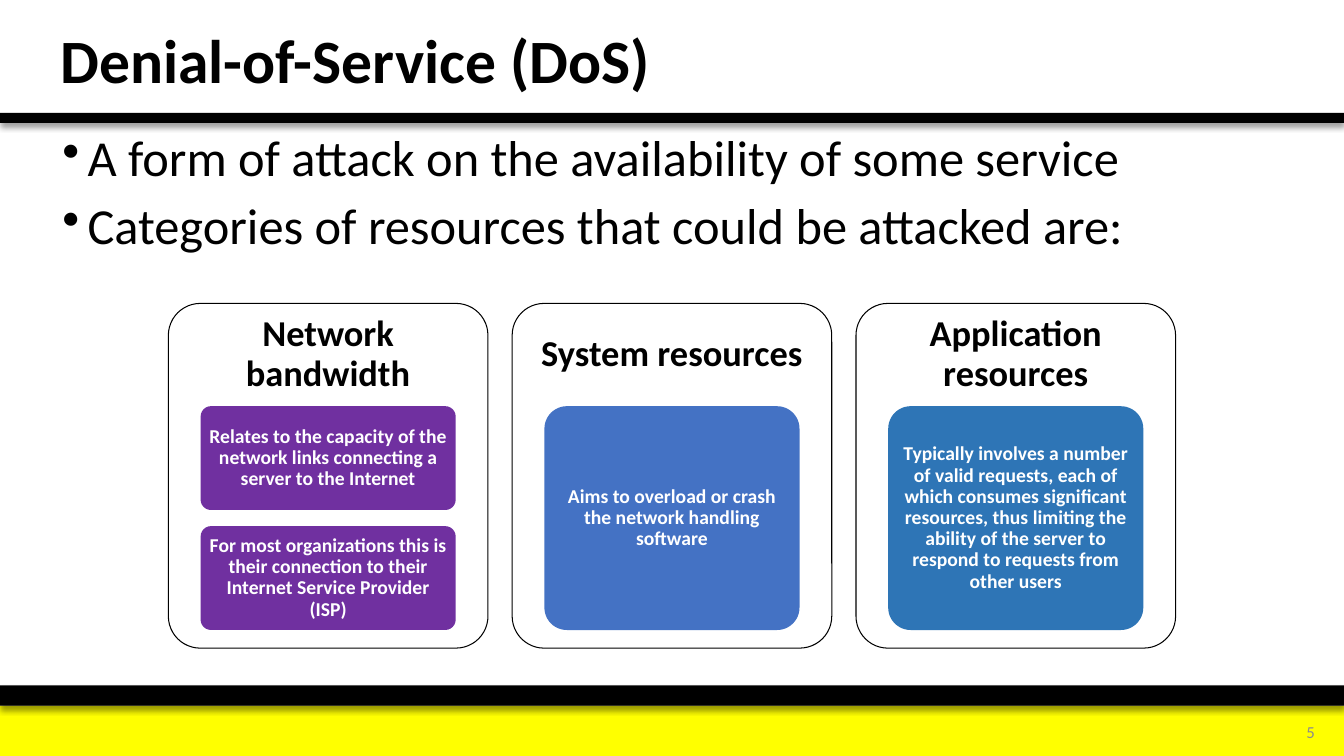
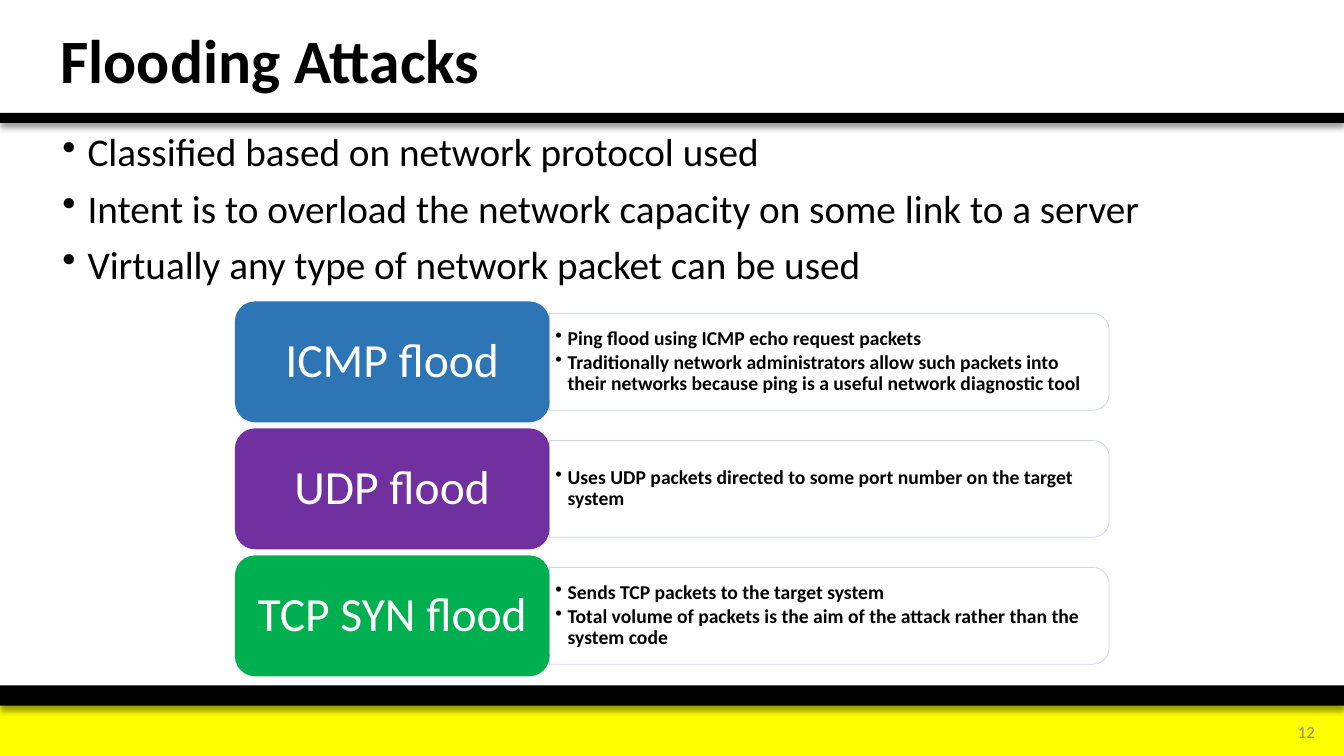
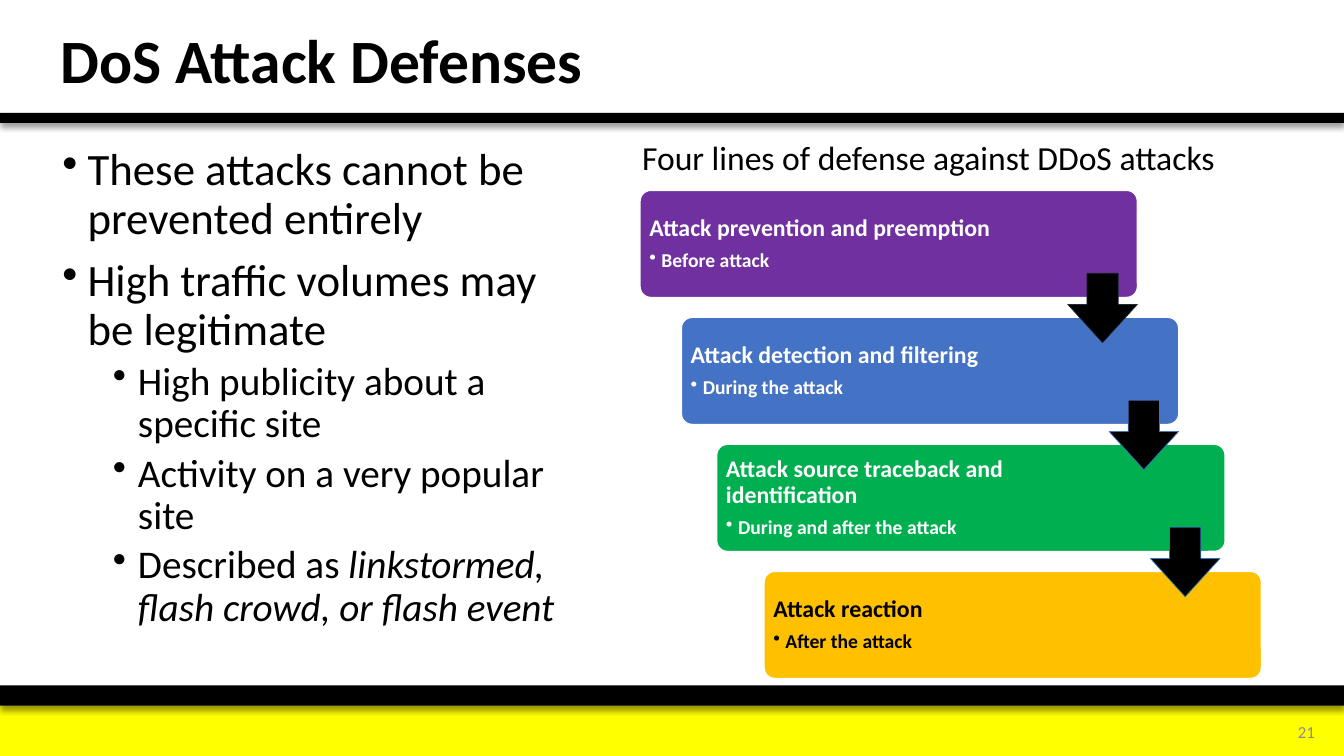
from dataclasses import dataclass

from pptx import Presentation
from pptx.dml.color import RGBColor
from pptx.enum.shapes import MSO_SHAPE
from pptx.enum.text import MSO_ANCHOR, MSO_AUTO_SIZE, PP_ALIGN
from pptx.oxml import parse_xml
from pptx.oxml.ns import nsdecls
from pptx.oxml.xmlchemy import OxmlElement
from pptx.util import Inches, Pt

FONT = "Calibri"
COLORS = {
    "black": "000000", "white": "FFFFFF", "yellow": "FFFF00", "grey": "8C8C8C",
    "purple": "7030A0", "blue": "4472C4", "steel": "2E75B6", "green": "00B050",
    "amber": "FFC000", "pale": "CFD5EA", "navy": "222A35",
}
DEFAULT_INSETS = (0.1, 0.05, 0.1, 0.05)
NO_INSETS_CHANGE = DEFAULT_INSETS


@dataclass
class Box:
    """A rectangle in inches."""
    left: float
    top: float
    width: float
    height: float

    def lengths(self):
        """Return the four sides as lengths."""
        return [Inches(side) for side in (self.left, self.top, self.width, self.height)]


@dataclass
class Para:
    """A paragraph; each span is a (text, italic) pair."""
    spans: list
    size: int
    color: str = "black"
    bold: bool = False
    align: PP_ALIGN = PP_ALIGN.LEFT
    spacing: float = 0.9
    before: int = 0
    after: int = 0
    level: int = 0
    indent: float = 0
    hang: float = 0


def rgb(name):
    """Look up a colour by name."""
    return RGBColor.from_string(COLORS[name])


def write(shape, paras, anchor=MSO_ANCHOR.MIDDLE, insets=DEFAULT_INSETS):
    """Fill a shape with formatted paragraphs."""
    frame = shape.text_frame
    frame.word_wrap = True
    frame.auto_size = MSO_AUTO_SIZE.NONE
    frame.vertical_anchor = anchor
    frame.margin_left, frame.margin_top, frame.margin_right, frame.margin_bottom = [
        Inches(inset) for inset in insets]
    for index, item in enumerate(paras):
        para = frame.add_paragraph() if index else frame.paragraphs[0]
        para.alignment = item.align
        para.line_spacing = item.spacing
        para.space_before = Pt(item.before)
        para.space_after = Pt(item.after)
        para.level = item.level
        if item.hang:
            properties = para._p.get_or_add_pPr()
            properties.set("marL", str(Inches(item.indent)))
            properties.set("indent", str(-Inches(item.hang)))
            bullet = OxmlElement("a:buChar")
            bullet.set("char", "•")
            properties.append(bullet)
        for text, italic in item.spans:
            span = para.add_run()
            span.text = text
            span.font.name = FONT
            span.font.size = Pt(item.size)
            span.font.bold = item.bold
            span.font.italic = italic
            span.font.color.rgb = rgb(item.color)


def add_text(page, box, paras, anchor=MSO_ANCHOR.TOP, insets=DEFAULT_INSETS):
    """Add a text box."""
    write(page.shapes.add_textbox(*box.lengths()), paras, anchor, insets)


def add_figure(page, kind, box, fill=None, line=None, weight=0.75, adjust=()):
    """Add a flat preset shape."""
    shape = page.shapes.add_shape(kind, *box.lengths())
    shape.shadow.inherit = False
    for index, value in enumerate(adjust):
        shape.adjustments[index] = value
    if fill:
        shape.fill.solid()
        shape.fill.fore_color.rgb = rgb(fill)
    else:
        shape.fill.background()
    if line:
        shape.line.color.rgb = rgb(line)
        shape.line.width = Pt(weight)
    else:
        shape.line.fill.background()
    return shape


def add_band(page, box):
    """Add a black band with a soft shadow below it."""
    band = add_figure(page, MSO_SHAPE.RECTANGLE, box, "black")
    effects = band._element.spPr.find(
        "{http://schemas.openxmlformats.org/drawingml/2006/main}effectLst")
    effects.append(parse_xml(
        f'<a:outerShdw {nsdecls("a")} blurRad="{Pt(4)}" dist="{Pt(3)}" dir="5400000" '
        f'algn="t" rotWithShape="0"><a:srgbClr val="{COLORS["black"]}">'
        '<a:alpha val="40000"/></a:srgbClr></a:outerShdw>'))


def add_page(deck, title, number):
    """Add a slide with title, bands and page number."""
    page = deck.slides.add_slide(deck.slide_layouts[5])
    add_figure(page, MSO_SHAPE.RECTANGLE, Box(0, 7, 13.33, 0.5), "yellow")
    add_band(page, Box(0, 6.8, 13.33, 0.2))
    add_band(page, Box(0, 1.12, 13.33, 0.1))
    holder = page.shapes.title
    holder.left, holder.top, holder.width, holder.height = Box(0.5, 0.07, 9.66, 1.12).lengths()
    write(holder, [Para([(title, False)], 44, bold=True)])
    add_text(page, Box(12.38, 7.06, 0.76, 0.4),
             [Para([(str(number), False)], 12, "grey", align=PP_ALIGN.RIGHT, spacing=1)],
             MSO_ANCHOR.MIDDLE)
    return page


def main_point(text, size):
    """Make a first-level bullet."""
    return Para([(text, False)], size, before=10, indent=0.25, hang=0.25)


def sub_point(*spans):
    """Make a second-level bullet."""
    return Para(list(spans), 28, before=5, level=1, indent=0.75, hang=0.25)


def small_point(text, color="black"):
    """Make a bullet for use inside a diagram."""
    return Para([(text, False)], 14, color, True, after=2, level=1, indent=0.12, hang=0.12)


def resource_card(page, box, heading, color, notes):
    """Draw an outlined card with a heading and equal stacked notes."""
    add_figure(page, MSO_SHAPE.ROUNDED_RECTANGLE, box, line="black", adjust=[0.1])
    head, side, gap = 1.02, 0.32, 0.16
    add_text(page, Box(box.left, box.top, box.width, head),
             [Para([(heading, False)], 26, bold=True, align=PP_ALIGN.CENTER)],
             MSO_ANCHOR.MIDDLE, (0.11,) * 4)
    height = (box.height - head - 0.18 + gap) / len(notes) - gap
    for index, note in enumerate(notes):
        place = Box(box.left + side, box.top + head + index * (height + gap),
                    box.width - 2 * side, height)
        shape = add_figure(page, MSO_SHAPE.ROUNDED_RECTANGLE, place, color, adjust=[0.1])
        write(shape, [Para([(note, False)], 14, "white", True, PP_ALIGN.CENTER)],
              insets=(0.04, 0.03, 0.04, 0.03))


def flood_row(page, box, name, color, points):
    """Draw a coloured name tab joined to an outlined list."""
    tab = 3.12
    panel = Box(box.left + tab, box.top + 0.12, box.width - tab, box.height - 0.24)
    upright = Box(panel.left + (panel.width - panel.height) / 2,
                  panel.top + (panel.height - panel.width) / 2, panel.height, panel.width)
    outline = add_figure(page, MSO_SHAPE.ROUND_2_SAME_RECTANGLE, upright,
                         line="pale", weight=0.5)
    outline.rotation = 90
    add_text(page, Box(panel.left, panel.top + 0.05, panel.width - 0.05, panel.height - 0.1),
             [small_point(point) for point in points],
             MSO_ANCHOR.MIDDLE, (0.06, 0.03, 0.06, 0.03))
    shape = add_figure(page, MSO_SHAPE.ROUNDED_RECTANGLE,
                       Box(box.left, box.top, tab, box.height), color)
    write(shape, [Para([(name, False)], 34, "white", align=PP_ALIGN.CENTER)],
          insets=(0.14, 0.07, 0.14, 0.07))


def defense_step(page, box, name, timing, color, ink):
    """Draw one step of the defence staircase."""
    shape = add_figure(page, MSO_SHAPE.ROUNDED_RECTANGLE, box, color, "white", adjust=[0.1])
    write(shape, [Para([(name, False)], 17, ink, True, after=6), small_point(timing, ink)],
          insets=(0.06, 0.06, 1.2, 0.06))


def resources_page(deck):
    """Build the slide on attacked resources."""
    page = add_page(deck, "Denial-of-Service (DoS)", 5)
    add_text(page, Box(0.52, 1.27, 12.29, 1.51), [
        main_point("A form of attack on the availability of some service", 36),
        main_point("Categories of resources that could be attacked are:", 36)])
    cards = [
        ("Network bandwidth", "purple", [
            "Relates to the capacity of the network links connecting a server to the Internet",
            "For most organizations this is their connection to their Internet Service "
            "Provider (ISP)"]),
        ("System resources", "blue", [
            "Aims to overload or crash the network handling software"]),
        ("Application resources", "steel", [
            "Typically involves a number of valid requests, each of which consumes significant "
            "resources, thus limiting the ability of the server to respond to requests from "
            "other users"]),
    ]
    for index, card in enumerate(cards):
        resource_card(page, Box(1.67 + 3.41 * index, 3.01, 3.17, 3.42), *card)


def flooding_page(deck):
    """Build the slide on flooding attacks."""
    page = add_page(deck, "Flooding Attacks", 12)
    add_text(page, Box(0.52, 1.27, 12.29, 2.51), [main_point(text, 28) for text in (
        "Classified based on network protocol used",
        "Intent is to overload the network capacity on some link to a server",
        "Virtually any type of network packet can be used")])
    rows = [
        ("ICMP flood", "steel", [
            "Ping flood using ICMP echo request packets",
            "Traditionally network administrators allow such packets into their networks "
            "because ping is a useful network diagnostic tool"]),
        ("UDP flood", "purple", [
            "Uses UDP packets directed to some port number on the target system"]),
        ("TCP SYN flood", "green", [
            "Sends TCP packets to the target system",
            "Total volume of packets is the aim of the attack rather than the system code"]),
    ]
    for index, row in enumerate(rows):
        flood_row(page, Box(2.33, 2.99 + 1.26 * index, 8.67, 1.2), *row)


def defenses_page(deck):
    """Build the slide on lines of defence."""
    page = add_page(deck, "DoS Attack Defenses", 21)
    add_text(page, Box(0.52, 1.41, 5.38, 5.27), [
        main_point("These attacks cannot be prevented entirely", 32),
        main_point("High traffic volumes may be legitimate", 32),
        sub_point(("High publicity about a specific site", False)),
        sub_point(("Activity on a very popular site", False)),
        sub_point(("Described as ", False), ("linkstormed, flash crowd, or flash event", True))])
    steps = [
        (6.35, 4.93, "Attack prevention and preemption", "Before attack", "purple", "white"),
        (6.76, 4.93, "Attack detection and filtering", "During the attack", "blue", "white"),
        (7.11, 5.04, "Attack source traceback and identification",
         "During and after the attack", "green", "white"),
        (7.58, 4.93, "Attack reaction", "After the attack", "amber", "black"),
    ]
    rise = 1.26
    for index, (left, width, *content) in enumerate(steps):
        defense_step(page, Box(left, 1.89 + rise * index, width, 1.06), *content)
    for index, line in enumerate(("navy", "blue", "steel")):
        add_figure(page, MSO_SHAPE.DOWN_ARROW,
                   Box(10.59 + 0.41 * index, 2.71 + rise * index, 0.69, 0.69),
                   "black", line, 0.5, [0.45, 0.55])
    add_text(page, Box(6.27, 1.31, 6.75, 0.81),
             [Para([("Four lines of defense against DDoS attacks", False)], 24, spacing=1)])


def main():
    """Build and save the deck."""
    deck = Presentation()
    deck.slide_width, deck.slide_height = Inches(13.33), Inches(7.5)
    resources_page(deck)
    flooding_page(deck)
    defenses_page(deck)
    deck.save("out.pptx")


if __name__ == "__main__":
    main()
